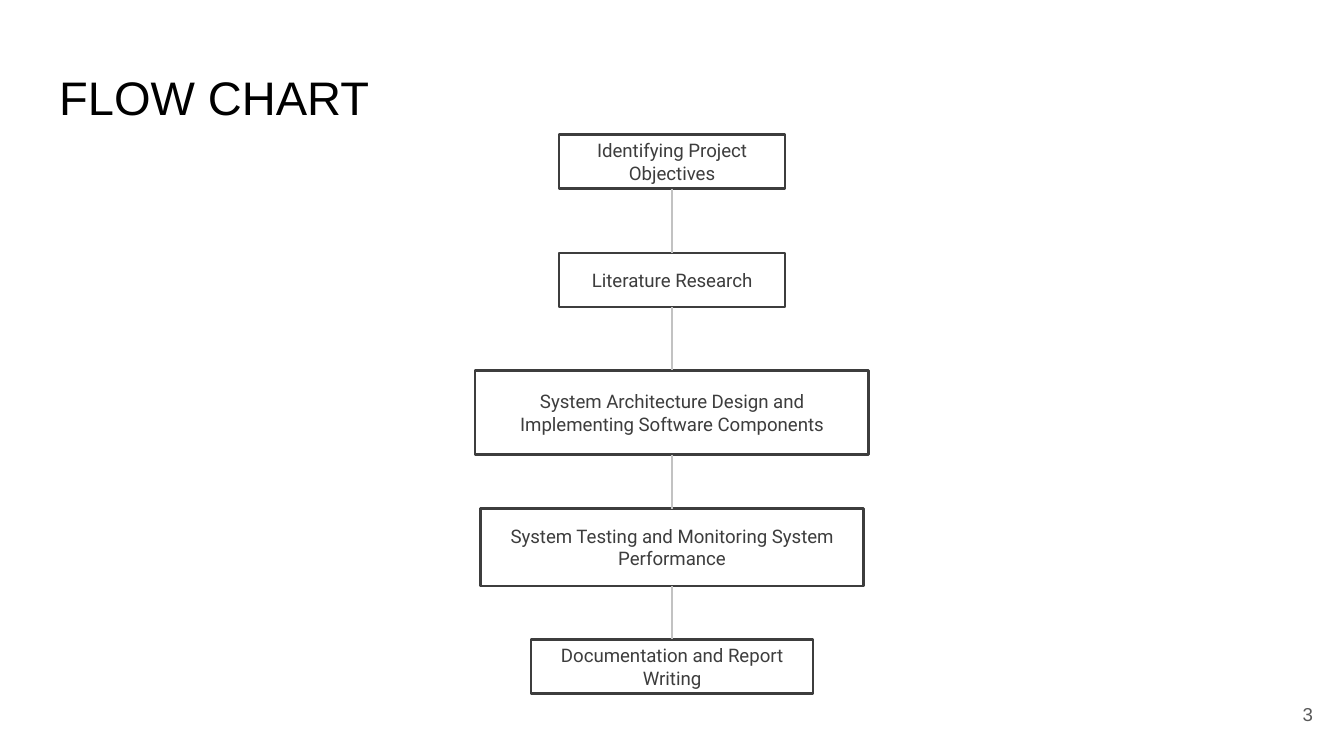
from dataclasses import dataclass
from lxml.etree import SubElement
from pptx import Presentation
from pptx.dml.color import RGBColor
from pptx.enum.shapes import MSO_CONNECTOR, MSO_SHAPE
from pptx.enum.text import MSO_ANCHOR, MSO_AUTO_SIZE, PP_ALIGN
from pptx.oxml.ns import qn
from pptx.util import Pt


@dataclass(frozen=True)
class Theme:
    black: RGBColor = RGBColor(0x00, 0x00, 0x00)
    dark: RGBColor = RGBColor(0x3D, 0x3D, 0x3D)
    gray: RGBColor = RGBColor(0x59, 0x59, 0x59)
    pale: RGBColor = RGBColor(0xC2, 0xC2, 0xC2)
    head: float = 25.2
    body: float = 10
    line: float = 1.5
    inset: float = 7.2


theme = Theme()


def write(shape, text, font, size, color, align, anchor):
    frame = shape.text_frame
    frame.text = text
    frame.word_wrap = True
    frame.auto_size = MSO_AUTO_SIZE.NONE
    frame.vertical_anchor = anchor
    frame.margin_left = frame.margin_right = Pt(theme.inset)
    frame.margin_top = frame.margin_bottom = Pt(theme.inset)
    para = frame.paragraphs[0]
    para.alignment = align
    para.font.name = font
    para.font.size = Pt(size)
    para.font.color.rgb = color


deck = Presentation()
deck.slide_width, deck.slide_height = Pt(720), Pt(405)
slide = deck.slides.add_slide(deck.slide_layouts[5])

title = slide.shapes.title
title.left, title.top, title.width, title.height = Pt(24.5), Pt(29), Pt(671), Pt(45)
write(title, "FLOW CHART", "Arial", theme.head, theme.black,
      PP_ALIGN.LEFT, MSO_ANCHOR.BOTTOM)

steps = [
    ("Identifying Project Objectives", 72, 121, 29),
    ("Literature Research", 135.5, 121, 29),
    ("System Architecture Design and Implementing Software Components", 198.5, 211, 45),
    ("System Testing and Monitoring System Performance", 272.5, 205, 41.5),
    ("Documentation and Report Writing", 342.5, 151, 29),
]
center = 360
boxes = []
for text, top, width, height in steps:
    box = slide.shapes.add_shape(MSO_SHAPE.RECTANGLE, Pt(center - width / 2),
                                 Pt(top), Pt(width), Pt(height))
    box.shadow.inherit = False
    box.fill.background()
    box.line.color.rgb = theme.dark
    box.line.width = Pt(theme.line)
    write(box, text, "Roboto", theme.body, theme.dark,
          PP_ALIGN.CENTER, MSO_ANCHOR.MIDDLE)
    boxes.append(box)

for upper, lower in zip(boxes, boxes[1:]):
    link = slide.shapes.add_connector(MSO_CONNECTOR.STRAIGHT, 0, 0, 0, 0)
    link.begin_connect(upper, 2)
    link.end_connect(lower, 0)
    link.line.color.rgb = theme.pale
    link.line.width = Pt(theme.line)
    SubElement(link._element.spPr, qn("a:effectLst"))

number = slide.shapes.add_textbox(Pt(667.5), Pt(367), Pt(43), Pt(31))
write(number, "3", "Arial", theme.body, theme.gray,
      PP_ALIGN.RIGHT, MSO_ANCHOR.MIDDLE)

deck.save("out.pptx")
